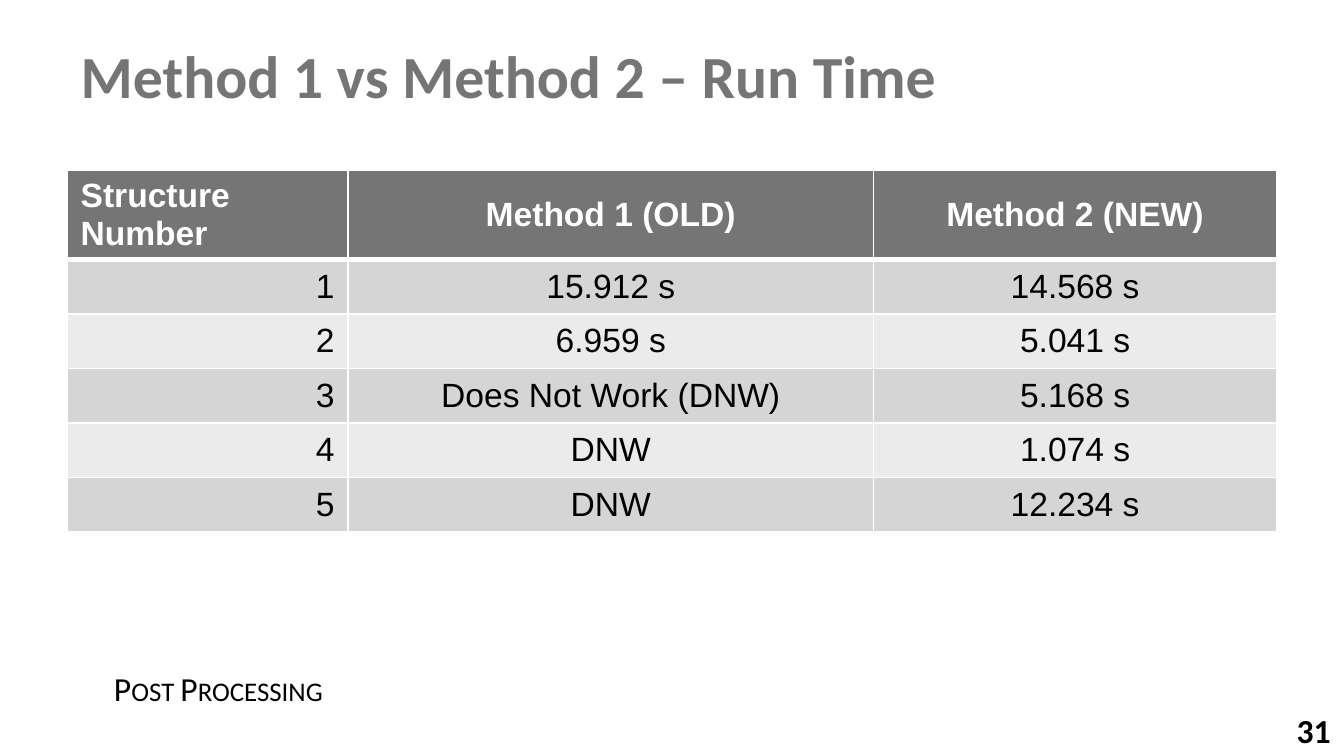
from dataclasses import dataclass

from lxml.etree import SubElement
from pptx import Presentation
from pptx.dml.color import RGBColor
from pptx.enum.text import MSO_ANCHOR, MSO_AUTO_SIZE, PP_ALIGN
from pptx.oxml.ns import qn
from pptx.slide import Slide
from pptx.table import _Cell
from pptx.text.text import TextFrame
from pptx.util import Inches, Pt

WHITE = RGBColor(0xFF, 0xFF, 0xFF)
BLACK = RGBColor(0x00, 0x00, 0x00)
GRAY = RGBColor(0x75, 0x75, 0x75)
BANDS = RGBColor(0xD5, 0xD5, 0xD5), RGBColor(0xEB, 0xEB, 0xEB)

SLIDE_WIDTH = 10
SLIDE_HEIGHT = SLIDE_WIDTH * 9 / 16
COLUMN_WIDTHS = 2.09, 3.91, 3
ROW_HEIGHT = 29.2 / 72
TABLE_LEFT, TABLE_TOP = 0.5, 1.27


@dataclass(frozen=True)
class TextStyle:
    size: int = 18
    font: str = "Calibri"
    color: RGBColor = BLACK
    bold: bool = False
    align: PP_ALIGN = PP_ALIGN.LEFT
    anchor: MSO_ANCHOR = MSO_ANCHOR.MIDDLE


@dataclass(frozen=True)
class Box:
    left: float
    top: float
    width: float
    height: float

    def lengths(self) -> tuple:
        return tuple(Inches(side) for side in
                     (self.left, self.top, self.width, self.height))


@dataclass(frozen=True)
class RunTime:
    structure: int
    old: str
    new: str


HEADINGS = "Structure Number", "Method 1 (OLD)", "Method 2 (NEW)"
RUN_TIMES = (
    RunTime(1, "15.912 s", "14.568 s"),
    RunTime(2, "6.959 s", "5.041 s"),
    RunTime(3, "Does Not Work (DNW)", "5.168 s"),
    RunTime(4, "DNW", "1.074 s"),
    RunTime(5, "DNW", "12.234 s"),
)


def write(frame: TextFrame, text: str, style: TextStyle) -> None:
    frame.text = text
    frame.word_wrap = True
    frame.vertical_anchor = style.anchor
    paragraph = frame.paragraphs[0]
    paragraph.alignment = style.align
    font = paragraph.runs[0].font
    font.name, font.size, font.bold = style.font, Pt(style.size), style.bold
    font.color.rgb = style.color


def add_text(slide: Slide, box: Box, text: str, style: TextStyle) -> TextFrame:
    frame = slide.shapes.add_textbox(*box.lengths()).text_frame
    write(frame, text, style)
    return frame


def set_borders(cell: _Cell, top: int, bottom: int) -> None:
    properties = cell._tc.get_or_add_tcPr()
    for side, points in (("L", 1), ("R", 1), ("T", top), ("B", bottom)):
        line = SubElement(properties, qn(f"a:ln{side}"), w=str(Pt(points)))
        fill = SubElement(line, qn("a:solidFill"))
        SubElement(fill, qn("a:srgbClr"), val=str(WHITE))


def fill_cell(cell: _Cell, text: str, row: int, column: int) -> None:
    heading = row == 0
    if column:
        align = PP_ALIGN.CENTER
    else:
        align = PP_ALIGN.LEFT if heading else PP_ALIGN.RIGHT
    write(cell.text_frame, text, TextStyle(
        font="Arial", color=WHITE if heading else BLACK, bold=heading, align=align))
    cell.vertical_anchor = (
        MSO_ANCHOR.TOP if heading and column == 0 else MSO_ANCHOR.MIDDLE)
    set_borders(cell, top=3 if row == 1 else 1, bottom=3 if heading else 1)
    cell.fill.solid()
    cell.fill.fore_color.rgb = GRAY if heading else BANDS[(row - 1) % 2]


def add_run_times(slide: Slide) -> None:
    rows = [HEADINGS] + [(str(run.structure), run.old, run.new) for run in RUN_TIMES]
    box = Box(TABLE_LEFT, TABLE_TOP, sum(COLUMN_WIDTHS), ROW_HEIGHT * len(rows))
    table = slide.shapes.add_table(
        len(rows), len(COLUMN_WIDTHS), *box.lengths()).table
    for column, width in zip(table.columns, COLUMN_WIDTHS):
        column.width = Inches(width)
    for row, texts in enumerate(rows):
        table.rows[row].height = Inches(ROW_HEIGHT)
        for column, text in enumerate(texts):
            fill_cell(table.cell(row, column), text, row, column)


def main() -> None:
    presentation = Presentation()
    presentation.slide_width = Inches(SLIDE_WIDTH)
    presentation.slide_height = Inches(SLIDE_HEIGHT)
    slide = presentation.slides.add_slide(presentation.slide_layouts[5])

    title = slide.shapes.title
    title.left, title.top, title.width, title.height = Box(
        TABLE_LEFT, 0.24, SLIDE_WIDTH - 2 * TABLE_LEFT, 0.71).lengths()
    write(title.text_frame, "Method 1 vs Method 2 – Run Time",
          TextStyle(size=32, color=GRAY, bold=True, anchor=MSO_ANCHOR.TOP))
    title.text_frame.auto_size = MSO_AUTO_SIZE.NONE

    add_run_times(slide)
    add_text(slide, Box(SLIDE_WIDTH - 3, 5.23, 3, 0.4), "31",
             TextStyle(bold=True, align=PP_ALIGN.RIGHT, anchor=MSO_ANCHOR.TOP))
    section = add_text(slide, Box(0.75, 4.97, 4.4, 0.3), "Post Processing", TextStyle())
    section.paragraphs[0].runs[0].font._element.set("cap", "small")

    presentation.save("out.pptx")


if __name__ == "__main__":
    main()
